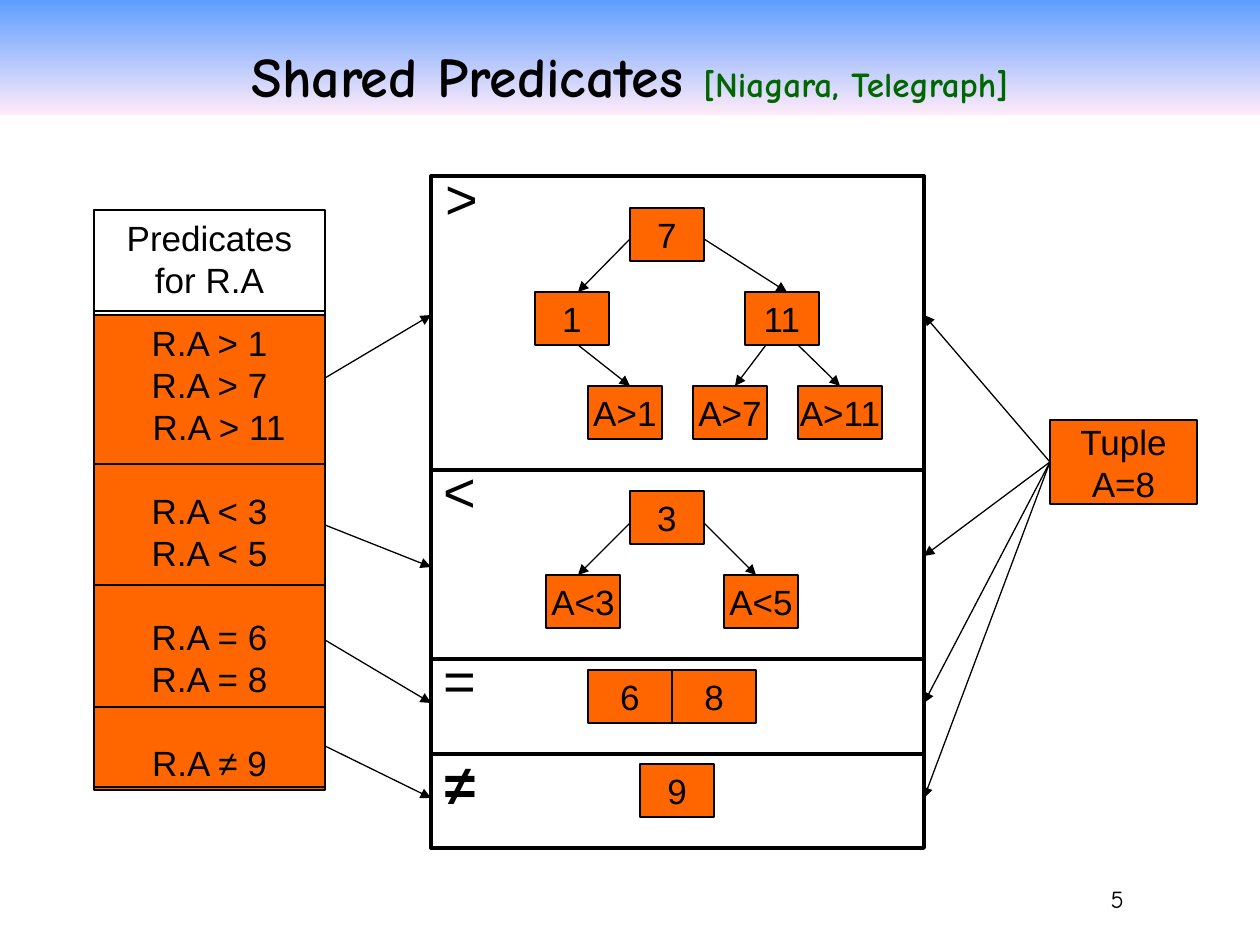
from dataclasses import dataclass

from lxml import etree
from pptx import Presentation
from pptx.dml.color import RGBColor
from pptx.enum.shapes import MSO_CONNECTOR, MSO_SHAPE
from pptx.enum.text import MSO_ANCHOR, PP_ALIGN
from pptx.oxml.ns import qn
from pptx.util import Emu, Pt

RECT, STRAIGHT = MSO_SHAPE.RECTANGLE, MSO_CONNECTOR.STRAIGHT
TOP, MIDDLE, BOTTOM = MSO_ANCHOR.TOP, MSO_ANCHOR.MIDDLE, MSO_ANCHOR.BOTTOM
CENTER, RIGHT = PP_ALIGN.CENTER, PP_ALIGN.RIGHT


@dataclass(frozen=True)
class Theme:
    ink: str = "000000"
    box: str = "FF6600"
    note: str = "006600"
    sky: str = "5E9EFF"
    blush: str = "FFEBFA"
    body_font: str = "Arial"
    title_font: str = "Comic Neue"
    title: int = 32
    subtitle: int = 20
    body: int = 20
    sign: int = 32
    page: int = 14
    leading: float = 1.2
    thin: float = 0.75
    thick: float = 2.25


T = Theme()

# Content, with places in px (126 to the inch)
TITLE = [("Shared Predicates ", T.title, T.ink),
         ("[Niagara, Telegraph]", T.subtitle, T.note)]
PREDICATES = [["R.A > 1", "R.A > 7", "R.A > 11"], ["R.A < 3", "R.A < 5"],
              ["R.A = 6", "R.A = 8"], ["R.A ≠ 9"]]
INDENTED = "R.A > 11"
LIST_LEFT, LIST_W = 94, 231
LIST_RULES = [311, 464, 585, 707]
PANEL = (431, 176, 493, 672)
PANEL_RULES = [470, 659, 754]
SIGNS = [(">", 433, 157), ("<", 431, 450), ("=", 431, 639), ("≠", 431, 743)]
NODE_W, NODE_H = 74, 53
NODES = [  # text, left, top, width
    ("7", 630, 208, NODE_W), ("1", 535, 292, NODE_W), ("11", 745, 292, NODE_W),
    ("A>1", 588, 386, NODE_W), ("A>7", 693, 386, NODE_W), ("A>11", 798, 386, 84),
    ("3", 630, 491, NODE_W), ("A<3", 546, 575, NODE_W), ("A<5", 724, 575, NODE_W),
    ("6", 588, 670, 84), ("8", 672, 670, 84), ("9", 640, 764, NODE_W),
]
BRANCHES = [  # from, to, node whose top middle is the end
    ((704, 239), (787, 292), None), ((630, 239), (578, 292), None),
    ((578, 345), (630, 386), None), ((766, 345), (735, 386), None),
    ((798, 345), (840, 386), "A>11"),
    ((630, 523), (578, 575), None), ((704, 523), (756, 575), None),
]
LIST_ARROWS = [(378, 315), (525, 567), (640, 703), (746, 798)]
TUPLE_BOX = (1050, 420, 147, 84)
TUPLE_TARGETS = [315, 556, 703, 798]


def px(n):
    return Emu(round(n * 914400 / 126))


prs = Presentation()
prs.slide_width, prs.slide_height = px(1260), px(945)
slide = prs.slides.add_slide(prs.slide_layouts[6])


def write(sp, paragraphs, size=T.body, font=T.body_font, bold=False, anchor=TOP,
          align=CENTER, wrap=True, leading=T.leading, gaps=(), indents=()):
    """Paragraphs are strings or lists of (text, size, colour) runs."""
    tf = sp.text_frame
    tf.word_wrap, tf.vertical_anchor = wrap, anchor
    for i, content in enumerate(paragraphs):
        p = tf.paragraphs[0] if i == 0 else tf.add_paragraph()
        p.alignment = align
        if leading:
            p.line_spacing = Pt(size * leading)
        if i in gaps:
            p.space_before = Pt(size * T.leading)
        if i in indents:
            p._p.get_or_add_pPr().set("marL", str(Pt(11)))
        runs = [(content, size, T.ink)] if isinstance(content, str) else content
        for text, run_size, color in runs:
            r = p.add_run()
            r.text = text
            r.font.name, r.font.size, r.font.bold = font, Pt(run_size), bold
            r.font.color.rgb = RGBColor.from_string(color)
    return tf


def box(x, y, w, h, fill=None, weight=T.thin):
    sp = slide.shapes.add_shape(RECT, px(x), px(y), px(w), px(h))
    sp.shadow.inherit = False
    if fill:
        sp.fill.solid()
        sp.fill.fore_color.rgb = RGBColor.from_string(fill)
    else:
        sp.fill.background()
    sp.line.color.rgb = RGBColor.from_string(T.ink)
    sp.line.width = Pt(weight)
    return sp


def label(x, y, w, h):
    return slide.shapes.add_textbox(px(x), px(y), px(w), px(h))


def line(start, end, weight=T.thin, arrow=False):
    c = slide.shapes.add_connector(STRAIGHT, *map(px, (*start, *end)))
    c.line.color.rgb = RGBColor.from_string(T.ink)
    c.line.width = Pt(weight)
    if arrow:
        etree.SubElement(c.line._get_or_add_ln(), qn("a:tailEnd"), type="triangle")
    etree.SubElement(c._element.spPr, qn("a:effectLst"))
    return c


# Title band
band = box(0, 0, 1260, 115)
band.line.fill.background()
band.fill.gradient()
band.fill.gradient_angle = 270
for stop, color, position in zip(band.fill.gradient_stops, (T.sky, T.blush), (0, 1)):
    stop.color.rgb = RGBColor.from_string(color)
    stop.position = position
write(band, [TITLE], font=T.title_font, bold=True, anchor=BOTTOM, leading=None)

# Predicate list: one blank line's height before each new group
lines = [text for group in PREDICATES for text in group]
group_starts = [sum(map(len, PREDICATES[:i])) for i in range(1, len(PREDICATES))]
write(box(LIST_LEFT, 315, LIST_W, 475, T.box), lines, gaps=group_starts,
      indents=[lines.index(INDENTED)])
box(LIST_LEFT, 210, LIST_W, 577)
write(label(LIST_LEFT, 210, LIST_W, 97), ["Predicates", "for R.A"])
for y in LIST_RULES:
    line((LIST_LEFT, y), (LIST_LEFT + LIST_W, y))

# Index panel
left, top, width, height = PANEL
right = left + width
box(*PANEL, weight=T.thick)
for y in PANEL_RULES:
    line((left, y), (right, y), T.thick)
for sign, x, y in SIGNS:
    write(label(x, y, 58, 81), [sign], size=T.sign, bold=sign == "≠")

# Trees and value cells
nodes = {}
for text, x, y, w in NODES:
    nodes[text] = box(x, y, w, NODE_H, T.box)
    write(nodes[text], [text], anchor=MIDDLE, wrap=False)
for start, end, target in BRANCHES:
    c = line(start, end, arrow=True)
    if target:
        c.end_connect(nodes[target], 0)

# Arrows from the list and from the tuple
for y1, y2 in LIST_ARROWS:
    line((LIST_LEFT + LIST_W, y1), (left, y2), arrow=True)
tuple_box = box(*TUPLE_BOX, T.box)
write(tuple_box, ["Tuple", "A=8"], anchor=MIDDLE, wrap=False)
for y in TUPLE_TARGETS:
    line((1050, 462), (right, y), arrow=True).begin_connect(tuple_box, 1)

# Page number
tf = write(label(976, 850, 148, 63), ["5"], size=T.page, font=T.title_font,
           anchor=BOTTOM, align=RIGHT, leading=None)
tf.margin_right = tf.margin_bottom = 0

prs.save("out.pptx")
